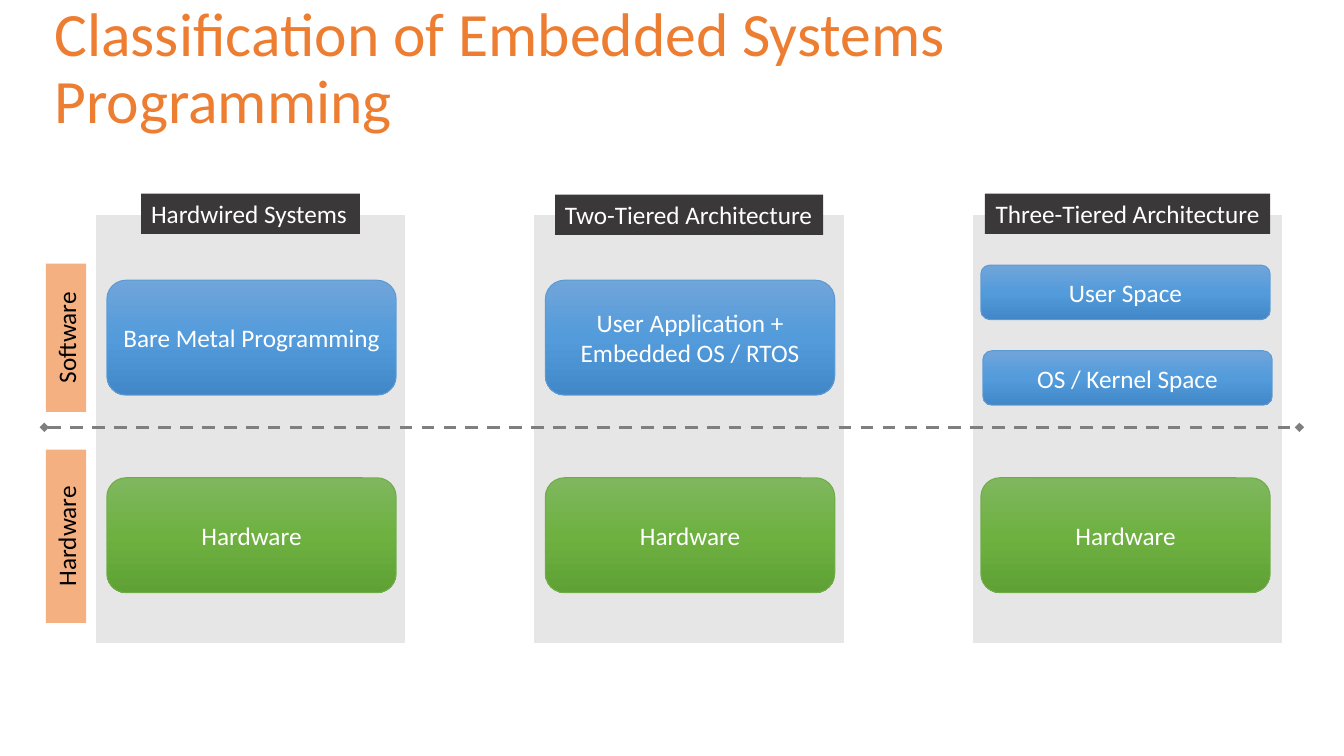
import copy
from dataclasses import dataclass

import pptx
import pptx.dml.color
import pptx.enum.dml
import pptx.enum.shapes
import pptx.enum.text
import pptx.oxml.ns
import pptx.oxml.xmlchemy
import pptx.shapes.autoshape
import pptx.slide
import pptx.text.text
import pptx.util
from lxml import etree

SHAPE = pptx.enum.shapes.MSO_SHAPE
ALIGN = pptx.enum.text.PP_ALIGN
FONT = "Calibri"

# Lengths are percentages of the slide's width and height
SLIDE_WIDTH = pptx.util.Inches(13.33)
SLIDE_HEIGHT = pptx.util.Inches(7.5)
PANEL_LEFT, PANEL_PITCH, PANEL_WIDTH = 7.05, 32.63, 23.18
PANEL_TOP, PANEL_HEIGHT = 28.27, 56.93
LAYER_WIDTH, TALL, SHORT = 21.53, 15.2, 7.2
LABEL_THICKNESS, SIDE_CENTRE = 5.33, 4.91

SOFTWARE = ("70A5DA", "539BDB", "4288C8", "5B9BD5")
HARDWARE = ("7FB75F", "6EB141", "5FA134", "70AD47")


@dataclass
class Layer:
    text: str
    top: float
    height: float = TALL
    inset: float = 0.9
    palette: tuple[str, str, str, str] = SOFTWARE


@dataclass
class Architecture:
    caption: str
    caption_width: float
    caption_top: float
    caption_align: ALIGN
    layers: list[Layer]


@dataclass
class SideLabel:
    text: str
    top: float
    length: float


ARCHITECTURES = [
    Architecture("Hardwired Systems", 16.28, 25.6, ALIGN.LEFT, [
        Layer("Bare Metal Programming", 37.07),
        Layer("Hardware", 63.2, palette=HARDWARE)]),
    Architecture("Two-Tiered Architecture", 19.95, 25.73, ALIGN.LEFT, [
        Layer("User Application + Embedded OS / RTOS", 37.07),
        Layer("Hardware", 63.2, palette=HARDWARE)]),
    Architecture("Three-Tiered Architecture", 21.23, 25.6, ALIGN.CENTER, [
        Layer("User Space", 35.07, SHORT, 0.67),
        Layer("Hardware", 63.2, inset=0.67, palette=HARDWARE),
        Layer("OS / Kernel Space", 46.4, SHORT, 0.82)]),
]
SIDE_LABELS = [SideLabel("Software", 42, 11.03), SideLabel("Hardware", 68.27, 12.9)]


def across(share: float) -> int:
    return round(SLIDE_WIDTH * share / 100)


def down(share: float) -> int:
    return round(SLIDE_HEIGHT * share / 100)


def colour(value: str) -> pptx.dml.color.RGBColor:
    return pptx.dml.color.RGBColor.from_string(value)


def write(frame: pptx.text.text.TextFrame, text: str, *, size: float = 18,
          ink: str = "FFFFFF", align: ALIGN = ALIGN.CENTER, wrap: bool = True,
          spacing: float = 1.0) -> None:
    frame.auto_size = pptx.enum.text.MSO_AUTO_SIZE.NONE
    frame.word_wrap = wrap
    frame.vertical_anchor = pptx.enum.text.MSO_ANCHOR.MIDDLE
    paragraph = frame.paragraphs[0]
    paragraph.alignment = align
    paragraph.line_spacing = spacing
    run = paragraph.add_run()
    run.text = text
    run.font.name = FONT
    run.font.size = pptx.util.Pt(size)
    run.font.color.rgb = colour(ink)


def add_block(slide: pptx.slide.Slide, left: float, top: float, width: float,
              height: float, fill: str | None = None, line: str | None = None,
              line_width: float = 0.75,
              kind: SHAPE = SHAPE.RECTANGLE) -> pptx.shapes.autoshape.Shape:
    block = slide.shapes.add_shape(
        kind, across(left), down(top), across(width), down(height))
    block.shadow.inherit = False
    if fill:
        block.fill.solid()
        block.fill.fore_color.rgb = colour(fill)
    if line:
        block.line.color.rgb = colour(line)
        block.line.width = pptx.util.Pt(line_width)
    else:
        block.line.fill.background()
    return block


def add_layer(slide: pptx.slide.Slide, panel_left: float, layer: Layer) -> None:
    *shades, outline = layer.palette
    block = add_block(slide, panel_left + layer.inset, layer.top, LAYER_WIDTH,
                      layer.height, line=outline, kind=SHAPE.ROUNDED_RECTANGLE)
    block.fill.gradient()
    block.fill.gradient_angle = 270
    # A third stop between the two that a new gradient has
    stop_list = block.element.spPr.find(".//" + pptx.oxml.ns.qn("a:gsLst"))
    stop_list.insert(1, copy.deepcopy(stop_list[0]))
    for index, (stop, shade) in enumerate(zip(block.fill.gradient_stops, shades)):
        stop.position = index / 2
        stop.color.rgb = colour(shade)
    write(block.text_frame, layer.text)


def add_divider(slide: pptx.slide.Slide, start: float, end: float, top: float) -> None:
    divider = slide.shapes.add_connector(
        pptx.enum.shapes.MSO_CONNECTOR.STRAIGHT,
        across(start), down(top), across(end), down(top))
    divider.line.color.rgb = colour("7F7F7F")
    divider.line.width = pptx.util.Pt(2.25)
    divider.line.dash_style = pptx.enum.dml.MSO_LINE.DASH
    for tip in ("a:headEnd", "a:tailEnd"):
        etree.SubElement(divider.line._get_or_add_ln(), pptx.oxml.ns.qn(tip),
                         type="diamond")
    etree.SubElement(divider.element.spPr, pptx.oxml.ns.qn("a:effectLst"))


def main() -> None:
    deck = pptx.Presentation()
    deck.slide_width, deck.slide_height = SLIDE_WIDTH, SLIDE_HEIGHT
    slide = deck.slides.add_slide(deck.slide_layouts[5])

    # Title
    title = slide.shapes.title
    title.left, title.top = across(3.3), down(2.53)
    title.width, title.height = across(93.47), down(13.47)
    write(title.text_frame, "Classification of Embedded Systems Programming",
          size=44, ink="ED7D31", align=ALIGN.LEFT, spacing=0.9)

    # Panels, then their layers
    lefts = [PANEL_LEFT + PANEL_PITCH * i for i in range(len(ARCHITECTURES))]
    for left in lefts:
        add_block(slide, left, PANEL_TOP, PANEL_WIDTH, PANEL_HEIGHT,
                  "E7E6E6", "FFFFFF", 1.5)
    for left, architecture in zip(lefts, ARCHITECTURES):
        for layer in architecture.layers:
            add_layer(slide, left, layer)

    # Border between software and hardware
    add_divider(slide, 3.3, 96.68, 56.53)

    # Upright side labels
    for label in SIDE_LABELS:
        side = add_block(slide, SIDE_CENTRE - label.length / 2, label.top,
                         label.length, LABEL_THICKNESS, "F4B081")
        side.rotation = 270
        write(side.text_frame, label.text, ink="000000")

    # Captions centred on the panels
    for left, architecture in zip(lefts, ARCHITECTURES):
        width = architecture.caption_width
        caption = add_block(slide, left + (PANEL_WIDTH - width) / 2,
                            architecture.caption_top, width, LABEL_THICKNESS, "3A3838")
        write(caption.text_frame, architecture.caption,
              align=architecture.caption_align, wrap=False)

    deck.save("out.pptx")


if __name__ == "__main__":
    main()
